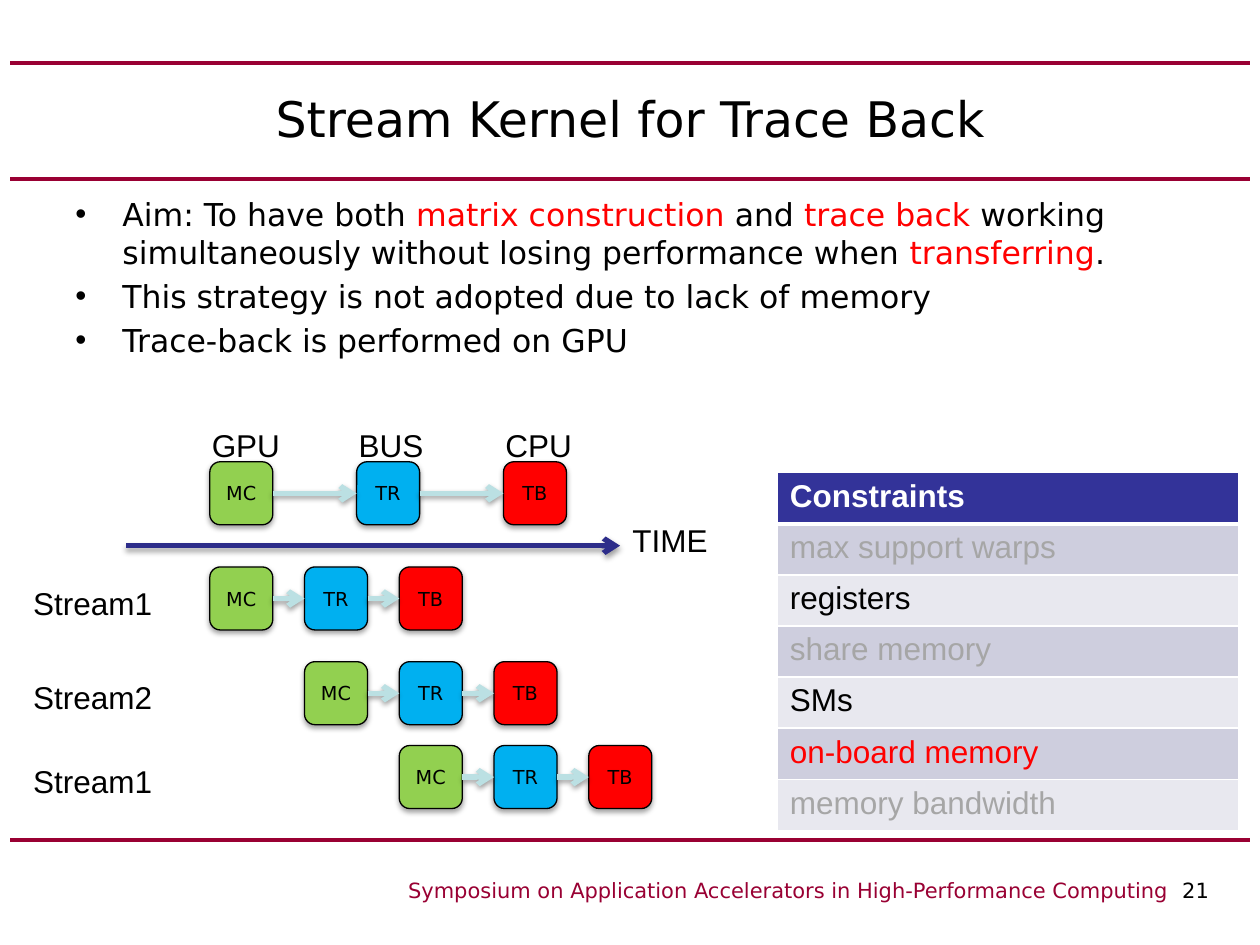
"""Build the slide on streaming the trace-back kernel."""
from dataclasses import dataclass

from pptx import Presentation
from pptx.dml.color import RGBColor
from pptx.enum.shapes import MSO_CONNECTOR, MSO_SHAPE
from pptx.enum.text import MSO_ANCHOR, PP_ALIGN
from pptx.oxml import parse_xml
from pptx.oxml.ns import nsdecls, qn
from pptx.util import Cm, Pt

STRAIGHT = MSO_CONNECTOR.STRAIGHT
ROUNDED = MSO_SHAPE.ROUNDED_RECTANGLE
CENTER = PP_ALIGN.CENTER
MIDDLE = MSO_ANCHOR.MIDDLE


@dataclass(frozen=True)
class Theme:
    head_font: str = "DejaVu Sans"
    label_font: str = "Arial"
    title_size: float = 28
    text_size: float = 18
    footer_size: float = 12
    stage_size: float = 11
    black: str = "000000"
    white: str = "FFFFFF"
    red: str = "FF0000"
    gray: str = "A6A6A6"
    rule: str = "990033"
    green: str = "92D050"
    blue: str = "00B0F0"
    flow: str = "BBE0E3"
    time: str = "2D2D8A"
    header: str = "333399"
    bands: tuple = ("E8E8EF", "CECEDE")


theme = Theme()


def add_run(paragraph, text, size, color=theme.black, font=theme.head_font, bold=False):
    run = paragraph.add_run()
    run.text = text
    run.font.size = Pt(size)
    run.font.name = font
    run.font.bold = bold
    run.font.color.rgb = RGBColor.from_string(color)


def add_line(x1, y1, x2, y2, color, width, effect, arrow=False):
    line = slide.shapes.add_connector(STRAIGHT, Cm(x1), Cm(y1), Cm(x2), Cm(y2))
    line.line.color.rgb = RGBColor.from_string(color)
    line.line.width = Pt(width)
    properties = line.element.spPr
    if arrow:
        properties.find(qn("a:ln")).append(
            parse_xml(f'<a:tailEnd {nsdecls("a")} type="arrow"/>'))
    properties.append(parse_xml(effect))


NO_EFFECT = f'<a:effectLst {nsdecls("a")}/>'
SHADOW = (
    f'<a:effectLst {nsdecls("a")}>'
    '<a:outerShdw blurRad="39370" dist="21600" dir="5400000" rotWithShape="0">'
    '<a:srgbClr val="000000"><a:alpha val="36000"/></a:srgbClr>'
    '</a:outerShdw></a:effectLst>'
)

presentation = Presentation()
presentation.slide_width = Cm(25.4)
presentation.slide_height = Cm(19.05)
slide = presentation.slides.add_slide(presentation.slide_layouts[5])

for rule_y in (1.27, 3.6, 16.93):
    add_line(0.21, rule_y, 25.19, rule_y, theme.rule, 2.25, NO_EFFECT)

title = slide.shapes.title
title.left, title.top, title.width, title.height = Cm(1.27), Cm(1.27), Cm(22.86), Cm(2.22)
title.text_frame.vertical_anchor = MIDDLE
heading = title.text_frame.paragraphs[0]
heading.alignment = CENTER
add_run(heading, "Stream Kernel for Trace Back", theme.title_size)

points = [
    [("Aim: To have both ", theme.black), ("matrix construction ", theme.red),
     ("and ", theme.black), ("trace back ", theme.red),
     ("working simultaneously without losing performance when ", theme.black),
     ("transferring", theme.red), (".", theme.black)],
    [("This strategy is not adopted due to lack of memory", theme.black)],
    [("Trace-back is performed on GPU", theme.black)],
]
body = slide.shapes.add_textbox(Cm(1.27), Cm(3.81), Cm(22.86), Cm(4.65)).text_frame
body.word_wrap = True
for index, point in enumerate(points):
    bullet = body.add_paragraph() if index else body.paragraphs[0]
    bullet.space_before = Pt(3.6)
    bullet_format = bullet._p.get_or_add_pPr()
    bullet_format.set("marL", str(Cm(0.95)))
    bullet_format.set("indent", str(-Cm(0.95)))
    bullet_format.append(parse_xml(f'<a:buFont {nsdecls("a")} typeface="{theme.label_font}"/>'))
    bullet_format.append(parse_xml(f'<a:buChar {nsdecls("a")} char="•"/>'))
    for words, color in point:
        add_run(bullet, words, theme.text_size, color)

footer = slide.shapes.add_textbox(Cm(7.2), Cm(17.57), Cm(18.2), Cm(0.85)).text_frame
footer.word_wrap = True
footer.paragraphs[0].alignment = CENTER
add_run(footer.paragraphs[0],
        "Symposium on Application Accelerators in High-Performance Computing ",
        theme.footer_size, theme.rule)
add_run(footer.paragraphs[0], " 21", theme.footer_size)

stages = [("MC", theme.green), ("TR", theme.blue), ("TB", theme.red)]
side = 1.27
chains = [(4.23, 9.31, 2.96), (4.23, 11.43, 1.91), (6.14, 13.34, 1.91), (8.05, 15.03, 1.91)]
for start, top, step in chains:
    for index, (stage, color) in enumerate(stages):
        left = start + index * step
        box = slide.shapes.add_shape(ROUNDED, Cm(left), Cm(top), Cm(side), Cm(side))
        box.fill.solid()
        box.fill.fore_color.rgb = RGBColor.from_string(color)
        box.line.color.rgb = RGBColor.from_string(theme.black)
        box.line.width = Pt(0.75)
        box.element.spPr.append(parse_xml(SHADOW))
        box.text_frame.vertical_anchor = MIDDLE
        box.text_frame.paragraphs[0].alignment = CENTER
        add_run(box.text_frame.paragraphs[0], stage, theme.stage_size)
        if index:
            middle = top + side / 2
            add_line(left - step + side, middle, left, middle, theme.flow, 3, SHADOW, True)

add_line(2.54, 11, 12.5, 11, theme.time, 3, SHADOW, True)

labels = [("TIME", 12.5, 10.37, 2.33)]
first_start, _, first_step = chains[0]
for index, unit in enumerate(("GPU", "BUS", "CPU")):
    labels.append((unit, first_start - 0.21 + index * first_step, 8.47, 2.12))
for stream, (_, top, _) in zip(("Stream1", "Stream2", "Stream1"), chains[1:]):
    labels.append((stream, 0.42, top + 0.21, 3.18))
for words, left, top, width in labels:
    label = slide.shapes.add_textbox(Cm(left), Cm(top), Cm(width), Cm(1.03)).text_frame
    label.word_wrap = True
    add_run(label.paragraphs[0], words, theme.text_size, font=theme.label_font)

constraints = [
    ("Constraints", theme.white), ("max support warps", theme.gray),
    ("registers", theme.black), ("share memory", theme.gray), ("SMs", theme.black),
    ("on-board memory", theme.red), ("memory bandwidth", theme.gray),
]
row_height = 1.03
table = slide.shapes.add_table(len(constraints), 1, Cm(15.67), Cm(9.53), Cm(9.31),
                               Cm(row_height * len(constraints))).table
for row, (constraint, color) in enumerate(constraints):
    table.rows[row].height = Cm(row_height)
    cell = table.cell(row, 0)
    widths = {"L": 1, "R": 1, "T": 3 if row == 1 else 1, "B": 1 if row else 3}
    for edge, width in widths.items():
        cell._tc.get_or_add_tcPr().append(parse_xml(
            f'<a:ln{edge} {nsdecls("a")} w="{Pt(width)}"><a:solidFill>'
            f'<a:srgbClr val="{theme.white}"/></a:solidFill></a:ln{edge}>'))
    cell.fill.solid()
    cell.fill.fore_color.rgb = RGBColor.from_string(
        theme.bands[row % 2] if row else theme.header)
    add_run(cell.text_frame.paragraphs[0], constraint, theme.text_size, color,
            theme.label_font, row == 0)

presentation.save("out.pptx")
